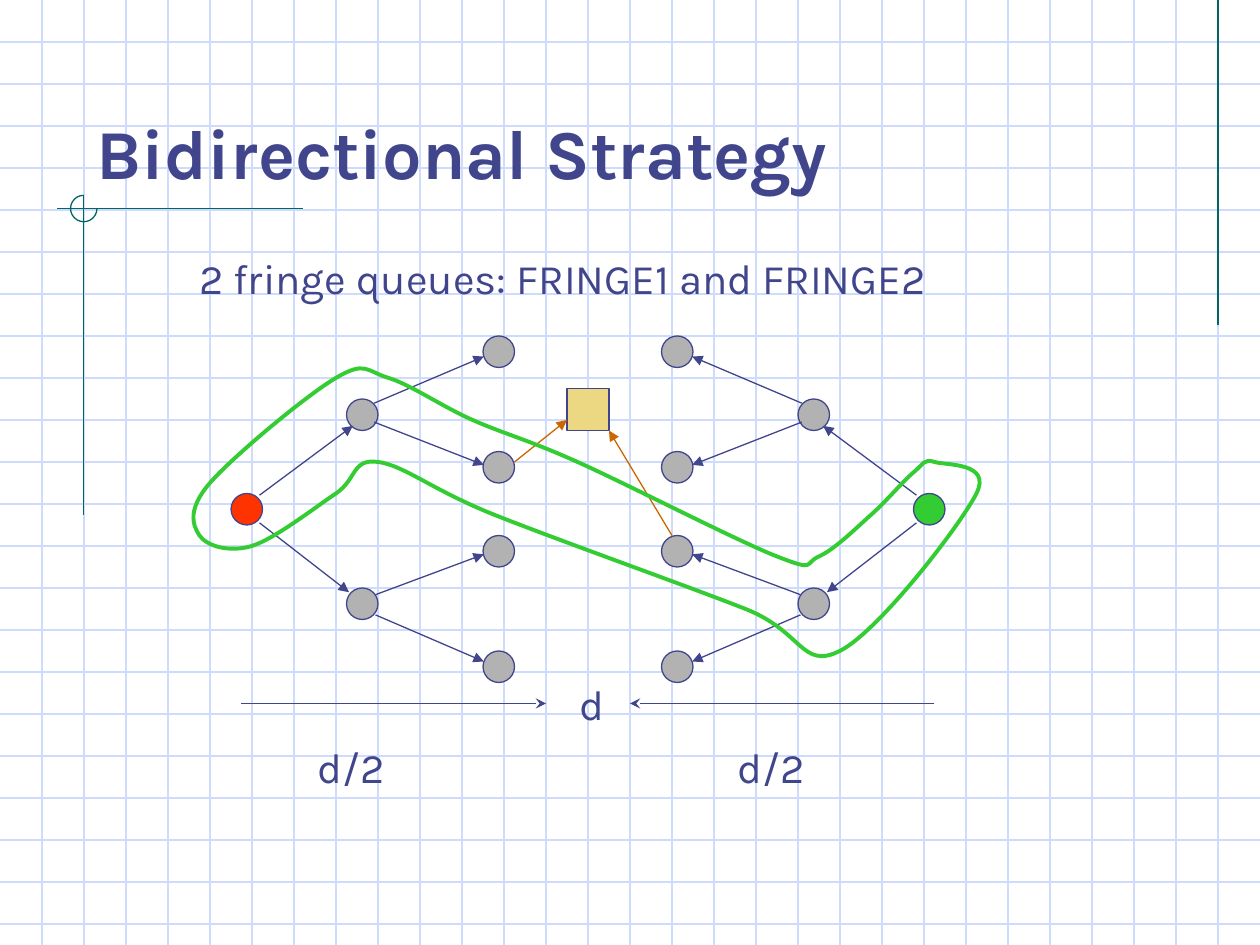
"""Builds the Bidirectional Strategy slide on a grid of third-inch cells."""
from lxml import etree
from pptx import Presentation
from pptx import util as u
from pptx.dml.color import RGBColor
from pptx.enum import shapes, text
from pptx.oxml.ns import qn

COLORS = {"grid": "CFDBFD", "teal": "006666", "ink": "40458C", "node": "B2B2B2",
          "start": "FF3300", "goal": "33CC33", "meeting": "ECD882", "link": "CC6600"}
FONT = "Karla"
COLUMNS, ROWS = 30, 22.5
MIRROR = 28
NODE = 0.75
ROOT = (5.875, 12.125)
CHILDREN = [(8.625, 9.875), (8.625, 14.375)]
LEAVES = [(11.875, row) for row in (8.375, 11.125, 13.125, 15.875)]
BRANCHES = [
    ((6.18, 11.79), (8.4, 10.14)), ((6.18, 12.45), (8.31, 14.1)),
    ((8.91, 9.6), (11.52, 8.49)), ((8.91, 10.05), (11.52, 11.07)),
    ((8.94, 14.16), (11.52, 13.2)), ((8.94, 14.64), (11.52, 15.75)),
]
FRINGE = [
    (8, 9), (5, 11.5), (4.75, 12.75), (6, 13), (8, 11.75), (9, 11), (11.75, 12.25),
    (17.75, 14.5), (20, 15.5), (23.25, 11.75), (22.25, 11), (21.75, 11.25),
    (20.75, 12.25), (19.5, 13.25), (18.5, 13.25), (13.75, 11), (11.25, 10), (9.25, 9),
]


def cells(*counts):
    """Turns counts of grid cells into lengths."""
    return [u.Inches(count / 3) for count in counts]


def color(name):
    """Looks up a colour by its role."""
    return RGBColor.from_string(COLORS[name])


def set_line(item, name, width=0.75):
    """Gives a shape or connector its line colour and width."""
    item.line.color.rgb = color(name)
    item.line.width = u.Pt(width)


def add_line(page, start, end, name="ink", head=None):
    """Draws a straight line, with an arrowhead at its end if one is named."""
    line = page.shapes.add_connector(shapes.MSO_CONNECTOR.STRAIGHT, *cells(*start, *end))
    set_line(line, name)
    if head:
        etree.SubElement(line.element.spPr.find(qn("a:ln")), qn("a:tailEnd"), type=head)
    etree.SubElement(line.element.spPr, qn("a:effectLst"))


def add_figure(page, kind, box, line, fill=None):
    """Draws a preset shape in a box of cells."""
    figure = page.shapes.add_shape(kind, *cells(*box))
    figure.shadow.inherit = False
    set_line(figure, line)
    if fill:
        figure.fill.solid()
        figure.fill.fore_color.rgb = color(fill)
    else:
        figure.fill.background()
    return figure


def add_node(page, center, fill="node"):
    """Draws a round tree node about its centre."""
    left, top = (value - NODE / 2 for value in center)
    add_figure(page, shapes.MSO_SHAPE.OVAL, (left, top, NODE, NODE), "ink", fill)


def format_text(box, words, size, bold=False):
    """Fills a text frame with one formatted paragraph."""
    box.text_frame.text = words
    box.text_frame.word_wrap = True
    para = box.text_frame.paragraphs[0]
    para.alignment = text.PP_ALIGN.LEFT
    para.font.name, para.font.size, para.font.bold = FONT, u.Pt(size), bold
    para.font.color.rgb = color("ink")


def add_label(page, words, box):
    """Adds a text box in a box of cells."""
    format_text(page.shapes.add_textbox(*cells(*box)), words, 24)


def add_backdrop(page):
    """Draws the squared paper and the teal ornament, and moves them to the layout."""
    for row in range(1, 23):
        add_line(page, (0, row), (COLUMNS, row), "grid")
    for column in range(1, COLUMNS):
        add_line(page, (column, 0), (column, ROWS), "grid")
    add_line(page, (29, 0), (29, 7.75), "teal")
    add_line(page, (7.21, 4.97), (1.35, 4.97), "teal")
    add_line(page, (1.99, 4.65), (1.99, 12.27), "teal")
    arc = add_figure(page, shapes.MSO_SHAPE.ARC, (1.68, 4.65, 0.63, 0.63), "teal")
    arc.adjustments[0], arc.adjustments[1] = 0, 270 * 0.6
    layout_title, *spare = page.slide_layout.placeholders
    tree = layout_title.element.getparent()
    for holder in spare:
        tree.remove(holder.element)
    for item in list(page.shapes):
        if not item.is_placeholder:
            tree.append(item.element)


def add_title(page):
    """Places and formats the title."""
    title = page.shapes.title
    title.left, title.top, title.width, title.height = cells(2, 1, 25.5, 3.75)
    format_text(title, "Bidirectional Strategy", 40, True)
    title.text_frame.vertical_anchor = text.MSO_ANCHOR.BOTTOM


def add_tree(page, root_fill, mirrored):
    """Draws one search tree, facing right or mirrored to face left."""
    def place(point):
        return (MIRROR - point[0], point[1]) if mirrored else point

    for center in CHILDREN + LEAVES:
        add_node(page, place(center))
    for start, end in BRANCHES:
        add_line(page, place(start), place(end), head="triangle")
    add_node(page, place(ROOT), root_fill)


def smooth_loop(points):
    """Gives two control points and an end for each piece of a closed smooth curve."""
    count = len(points)
    for index in range(count):
        before, start, end, after = (points[(index + k) % count] for k in (-1, 0, 1, 2))
        yield tuple(b + (c - a) / 6 for a, b, c in zip(before, start, end))
        yield tuple(b - (c - a) / 6 for a, b, c in zip(start, end, after))
        yield end


def add_fringe(page):
    """Outlines the path found between the two roots with a smooth curve."""
    builder = page.shapes.build_freeform(*cells(*FRINGE[0]))
    builder.add_line_segments([cells(*point) for point in smooth_loop(FRINGE)], close=True)
    loop = builder.convert_to_shape()
    steps = list(loop.element.iter(qn("a:lnTo")))
    for first, second, last in zip(steps[::3], steps[1::3], steps[2::3]):
        curve = etree.Element(qn("a:cubicBezTo"))
        first.addprevious(curve)
        for step in (first, second, last):
            curve.append(step[0])
            step.getparent().remove(step)
    loop.shadow.inherit = False
    loop.fill.background()
    set_line(loop, "goal", 2.25)


def main():
    """Builds and saves the slide."""
    deck = Presentation()
    deck.slide_width, deck.slide_height = cells(COLUMNS, ROWS)
    page = deck.slides.add_slide(deck.slide_layouts[5])
    add_backdrop(page)
    add_title(page)
    add_tree(page, "goal", True)
    add_tree(page, "start", False)
    add_label(page, "2 fringe queues: FRINGE1 and FRINGE2", (4.45, 5.87, 18.33, 1.5))
    add_figure(page, shapes.MSO_SHAPE.RECTANGLE, (13.5, 9.25, 1, 1), "ink", "meeting")
    add_line(page, (12.25, 11), (13.5, 10), "link", "triangle")
    add_line(page, (16, 12.75), (14.5, 10.25), "link", "triangle")
    add_fringe(page)
    add_line(page, (5.75, 16.75), (13, 16.75), head="stealth")
    add_label(page, "d", (13.5, 16, 1.25, 1.5))
    add_line(page, (22.25, 16.75), (15, 16.75), head="stealth")
    for column in (7.26, 17.26):
        add_label(page, "d/2", (column, 17.5, 2.75, 1.5))
    deck.save("out.pptx")


if __name__ == "__main__":
    main()
